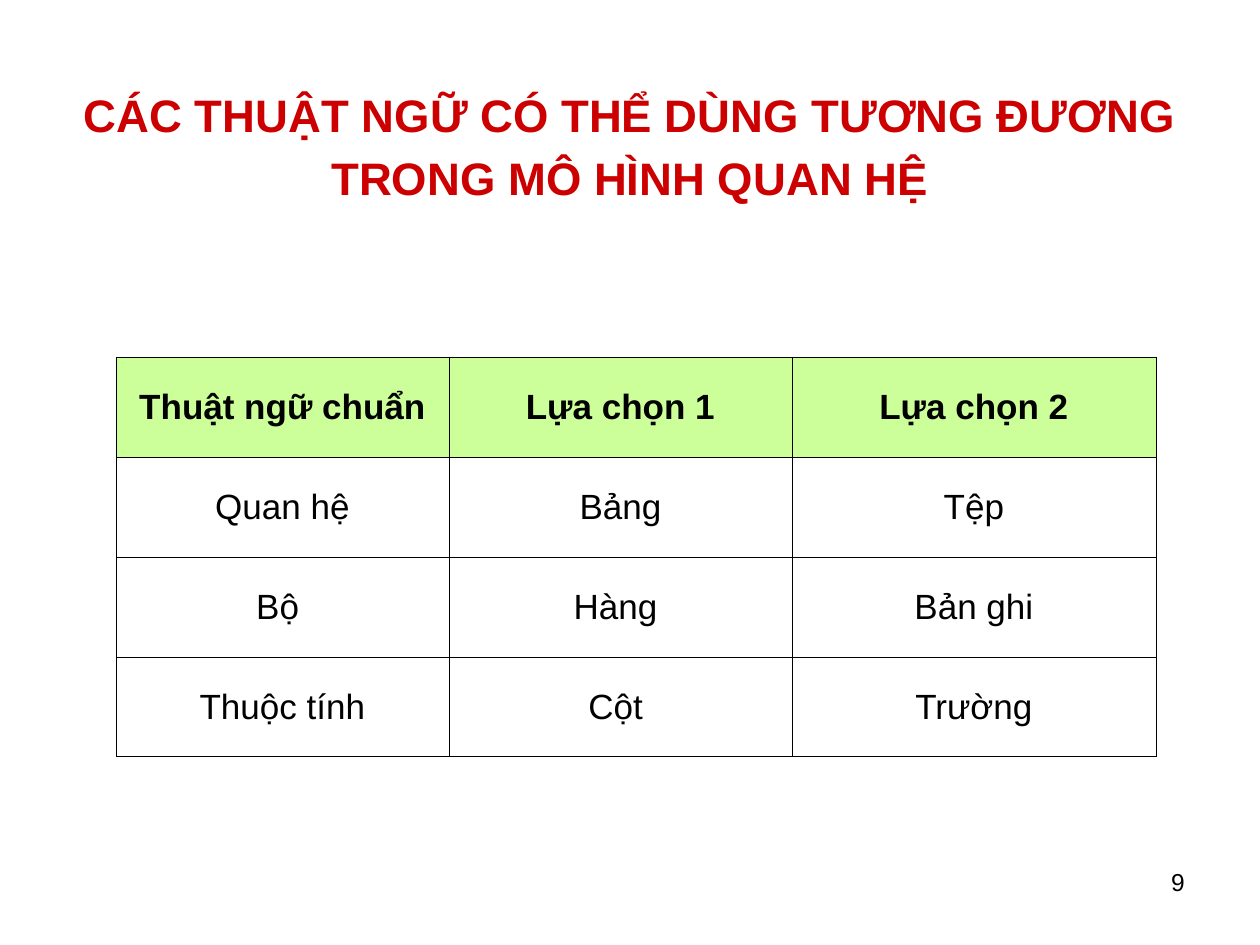
from lxml.etree import SubElement
from pptx import Presentation
from pptx.dml.color import RGBColor
from pptx.enum.text import MSO_ANCHOR, PP_ALIGN
from pptx.oxml.ns import qn
from pptx.util import Emu, Pt

PX = 914400 // 126  # EMU in one px
FONT = "Arial"
COLORS = {"title": "CC0000", "text": "000000", "header": "CCFF99", "border": "000000"}

COLUMN_WIDTHS = [333, 343, 364]
ROW_HEIGHT = 100
TERMS = [
    ["Thuật ngữ chuẩn", "Lựa chọn 1", "Lựa chọn 2"],
    ["Quan hệ", "Bảng", "Tệp"],
    ["Bộ ", "Hàng ", "Bản ghi"],
    ["Thuộc tính", "Cột ", "Trường"],
]


def px(length):
    return Emu(length * PX)


def write_text(frame, text, size, color="text", bold=False, align=PP_ALIGN.CENTER,
               line_spacing=None, space_before=0):
    frame.word_wrap = True
    paragraph = frame.paragraphs[0]
    paragraph.alignment = align
    paragraph.line_spacing = line_spacing
    paragraph.space_before = Pt(space_before)
    run = paragraph.add_run()
    run.text = text
    run.font.name = FONT
    run.font.size = Pt(size)
    run.font.bold = bold
    run.font.color.rgb = RGBColor.from_string(COLORS[color])


def add_title(slide, text):
    title = slide.shapes.title
    title.left, title.top, title.width, title.height = map(px, (63, 63, 1134, 158))
    title.text_frame.vertical_anchor = MSO_ANCHOR.MIDDLE
    write_text(title.text_frame, text, size=26, color="title", bold=True, line_spacing=1.15)


def set_borders(cell):
    properties = cell._tc.get_or_add_tcPr()
    for position, side in enumerate(("lnL", "lnR", "lnT", "lnB")):
        line = SubElement(properties, qn(f"a:{side}"), w=str(Pt(0.45)))
        fill = SubElement(line, qn("a:solidFill"))
        SubElement(fill, qn("a:srgbClr"), val=COLORS["border"])
        properties.insert(position, line)  # borders come before the fill


def add_terms_table(slide):
    frame = slide.shapes.add_table(
        len(TERMS), len(COLUMN_WIDTHS), px(116), px(357),
        px(sum(COLUMN_WIDTHS)), px(ROW_HEIGHT * len(TERMS)))
    table = frame.table
    table.horz_banding = False
    for column, width in zip(table.columns, COLUMN_WIDTHS):
        column.width = px(width)
    for row_index, terms in enumerate(TERMS):
        is_header = row_index == 0
        table.rows[row_index].height = px(ROW_HEIGHT)
        for column_index, term in enumerate(terms):
            cell = table.cell(row_index, column_index)
            cell.vertical_anchor = MSO_ANCHOR.MIDDLE
            if is_header:
                cell.fill.solid()
                cell.fill.fore_color.rgb = RGBColor.from_string(COLORS["header"])
            else:
                cell.fill.background()
            set_borders(cell)
            write_text(cell.text_frame, term, size=20, bold=is_header, space_before=5)


def add_page_number(slide, number):
    box = slide.shapes.add_textbox(px(903), px(861), px(294), px(66))
    write_text(box.text_frame, number, size=14, align=PP_ALIGN.RIGHT)


def main():
    presentation = Presentation()
    presentation.slide_width, presentation.slide_height = px(1260), px(945)
    slide = presentation.slides.add_slide(presentation.slide_layouts.get_by_name("Title Only"))

    add_title(slide, "CÁC THUẬT NGỮ CÓ THỂ DÙNG TƯƠNG ĐƯƠNG TRONG MÔ HÌNH QUAN HỆ")
    add_terms_table(slide)
    add_page_number(slide, "9")

    presentation.save("out.pptx")


if __name__ == "__main__":
    main()
